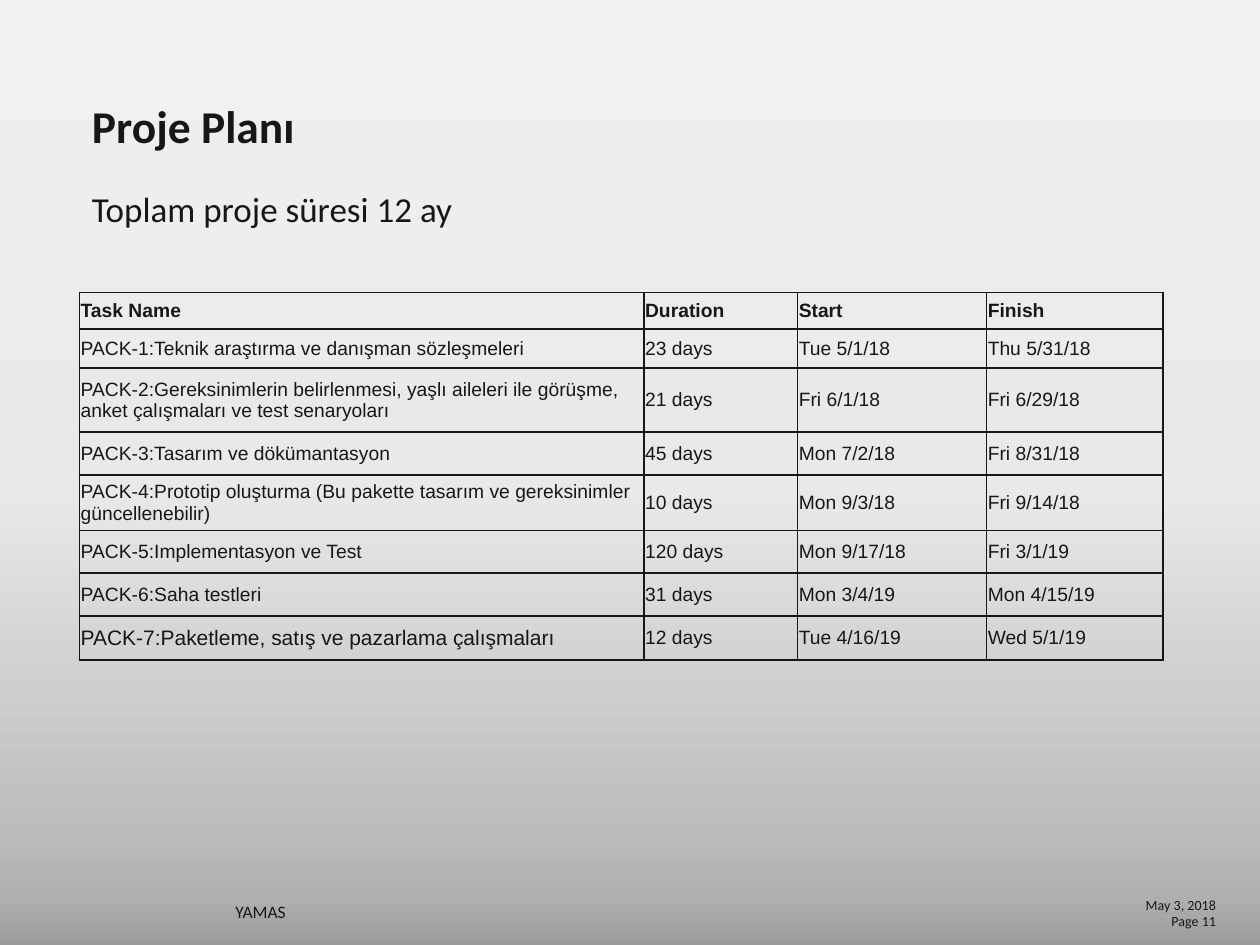
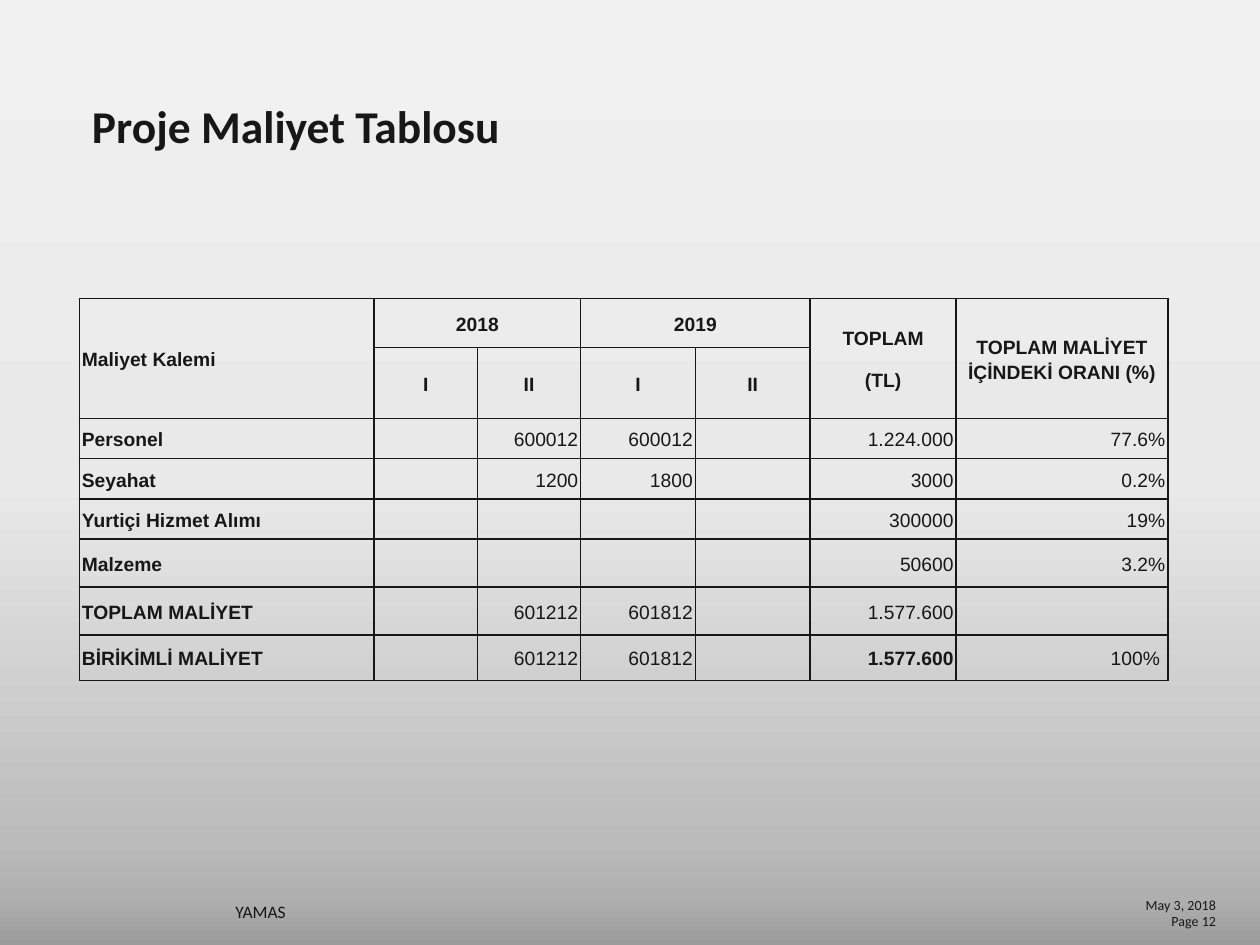
from lxml import etree
from pptx import Presentation
from pptx import util as u
from pptx.dml import color
from pptx.enum import text
from pptx.oxml import ns

PX = 9144
INK = "171717"
BACKDROP = [(0, "9B9B9B"), (5, "AFAFAF"), (11, "BBBBBB"), (49, "E9E9E9"), (100, "F1F1F1")]
LEFT, CENTER, RIGHT = text.PP_ALIGN.LEFT, text.PP_ALIGN.CENTER, text.PP_ALIGN.RIGHT
TOP, MIDDLE, BOTTOM = text.MSO_ANCHOR.TOP, text.MSO_ANCHOR.MIDDLE, text.MSO_ANCHOR.BOTTOM

PLAN = [
    ("Task Name", "Duration", "Start", "Finish"),
    ("PACK-1:Teknik araştırma ve danışman sözleşmeleri", "23 days", "Tue 5/1/18", "Thu 5/31/18"),
    ("PACK-2:Gereksinimlerin belirlenmesi, yaşlı aileleri ile görüşme, "
     "anket çalışmaları ve test senaryoları", "21 days", "Fri 6/1/18", "Fri 6/29/18"),
    ("PACK-3:Tasarım ve dökümantasyon", "45 days", "Mon 7/2/18", "Fri 8/31/18"),
    ("PACK-4:Prototip oluşturma (Bu pakette tasarım ve gereksinimler güncellenebilir)",
     "10 days", "Mon 9/3/18", "Fri 9/14/18"),
    ("PACK-5:Implementasyon ve Test", "120 days", "Mon 9/17/18", "Fri 3/1/19"),
    ("PACK-6:Saha testleri", "31 days", "Mon 3/4/19", "Mon 4/15/19"),
    ("PACK-7:Paketleme, satış ve pazarlama çalışmaları", "12 days", "Tue 4/16/19", "Wed 5/1/19"),
]
COSTS = [
    ("Maliyet Kalemi", "2018", "", "2019", "", "TOPLAM\n(TL)", "TOPLAM MALİYET İÇİNDEKİ ORANI (%)"),
    ("", "I", "II", "I", "II", "", ""),
    ("Personel", "", "600012", "600012", "", "1.224.000", "77.6%"),
    ("Seyahat", "", "1200", "1800", "", "3000", "0.2%"),
    ("Yurtiçi Hizmet Alımı", "", "", "", "", "300000", "19%"),
    ("Malzeme", "", "", "", "", "50600", "3.2%"),
    ("TOPLAM MALİYET", "", "601212", "601812", "", "1.577.600", ""),
    ("BİRİKİMLİ MALİYET", "", "601212", "601812", "", "1.577.600", "100% "),
]
COST_MERGES = [(0, 0, 1, 0), (0, 1, 0, 2), (0, 3, 0, 4), (0, 5, 1, 5), (0, 6, 1, 6)]


def rgb(value):
    return color.RGBColor.from_string(value)


def plan_style(row, column):
    return {"bold": row == 0, "size": 12 if (row, column) == (7, 0) else 11}


def cost_style(row, column):
    heading, summary = row < 2, row > 5
    return {
        "bold": heading or column == 0 or (row, column) == (7, 5),
        "align": LEFT if column == 0 else CENTER if heading else RIGHT,
        "spacing": 1.15,
        "before": 6 if summary else 0,
        "after": 6 if summary else 10,
    }


class Deck:
    """Hold the shared style and the current slide, and draw each kind of element."""

    def __init__(self):
        self.prs = Presentation()
        self.prs.slide_width, self.prs.slide_height = 1000 * PX, 750 * PX
        self.slide = None
        self.paint_backdrop()

    def paint_backdrop(self):
        fill = self.prs.slide_master.background.fill
        fill.gradient()
        fill.gradient_angle = 90
        stops = fill.gradient_stops[0]._gs.getparent()
        for stop in list(stops):
            stops.remove(stop)
        for percent, shade in BACKDROP:
            stop = etree.SubElement(stops, ns.qn("a:gs"), pos=str(percent * 1000))
            etree.SubElement(stop, ns.qn("a:srgbClr"), val=shade)

    def set_text(self, frame, words, size, font="Calibri", bold=False, align=LEFT,
                 spacing=None, before=0, after=0):
        frame.text = words
        for paragraph in frame.paragraphs:
            paragraph.alignment = align
            paragraph.line_spacing = spacing
            paragraph.space_before, paragraph.space_after = u.Pt(before), u.Pt(after)
            for run in paragraph.runs:
                run.font.name, run.font.size, run.font.bold = font, u.Pt(size), bold
                run.font.color.rgb = rgb(INK)

    def page(self, heading, number):
        self.slide = self.prs.slides.add_slide(self.prs.slide_layouts[5])
        title = self.slide.shapes.title
        title.left, title.top, title.width, title.height = (n * PX for n in (63, 78, 752, 49))
        title.text_frame.vertical_anchor = BOTTOM
        self.set_text(title.text_frame, heading, 26, bold=True, spacing=0.9)
        self.label(f"Page {number}", (835, 724, 140, 18), 8, align=RIGHT)
        self.label("May 3, 2018", (835, 708, 140, 17), 8, anchor=BOTTOM, align=RIGHT)
        self.label("YAMAS", (177, 708, 324, 33), 10, anchor=MIDDLE, spacing=0.95)

    def label(self, words, box, size, anchor=TOP, pad=0, **style):
        frame = self.slide.shapes.add_textbox(*(n * PX for n in box)).text_frame
        frame.word_wrap = True
        frame.vertical_anchor = anchor
        frame.margin_left = frame.margin_right = 10 * PX
        frame.margin_top = frame.margin_bottom = pad * PX
        self.set_text(frame, words, size, **style)

    def table(self, rows, place, widths, heights, inset, style, merges=()):
        box = (*place, sum(widths), sum(heights))
        grid = self.slide.shapes.add_table(
            len(rows), len(widths), *(n * PX for n in box)).table
        grid.first_row = grid.horz_banding = False
        for column, width in zip(grid.columns, widths):
            column.width = width * PX
        for line, height in zip(grid.rows, heights):
            line.height = height * PX
        for r, row in enumerate(rows):
            for c, words in enumerate(row):
                cell = grid.cell(r, c)
                cell.margin_left = cell.margin_right = inset[0] * PX
                cell.margin_top = cell.margin_bottom = inset[1] * PX
                cell.vertical_anchor = MIDDLE
                cell.fill.background()
                self.outline(cell)
                if words:
                    self.set_text(cell.text_frame, words,
                                  **{"size": 11, "font": "Arial", **style(r, c)})
        for r1, c1, r2, c2 in merges:
            grid.cell(r1, c1).merge(grid.cell(r2, c2))

    def outline(self, cell):
        properties = cell._tc.get_or_add_tcPr()
        for position, side in enumerate("LRTB"):
            edge = etree.Element(ns.qn(f"a:ln{side}"), w=str(u.Pt(1)))
            fill = etree.SubElement(edge, ns.qn("a:solidFill"))
            etree.SubElement(fill, ns.qn("a:srgbClr"), val=INK)
            properties.insert(position, edge)


def main():
    deck = Deck()

    deck.page("Proje Planı", 11)
    deck.label("Toplam proje süresi 12 ay", (63, 144, 809, 498), 20, pad=5, after=8)
    deck.table(PLAN, (63, 232), [448, 122, 150, 140],
               [29, 31, 51, 34, 44, 34, 34, 35], (1, 1), plan_style)

    deck.page("Proje Maliyet Tablosu", 12)
    deck.table(COSTS, (63, 237), [234, 82, 82, 91, 91, 116, 168],
               [39, 53, 32, 32, 32, 38, 38, 36], (2, 0), cost_style, COST_MERGES)

    deck.prs.save("out.pptx")


if __name__ == "__main__":
    main()
